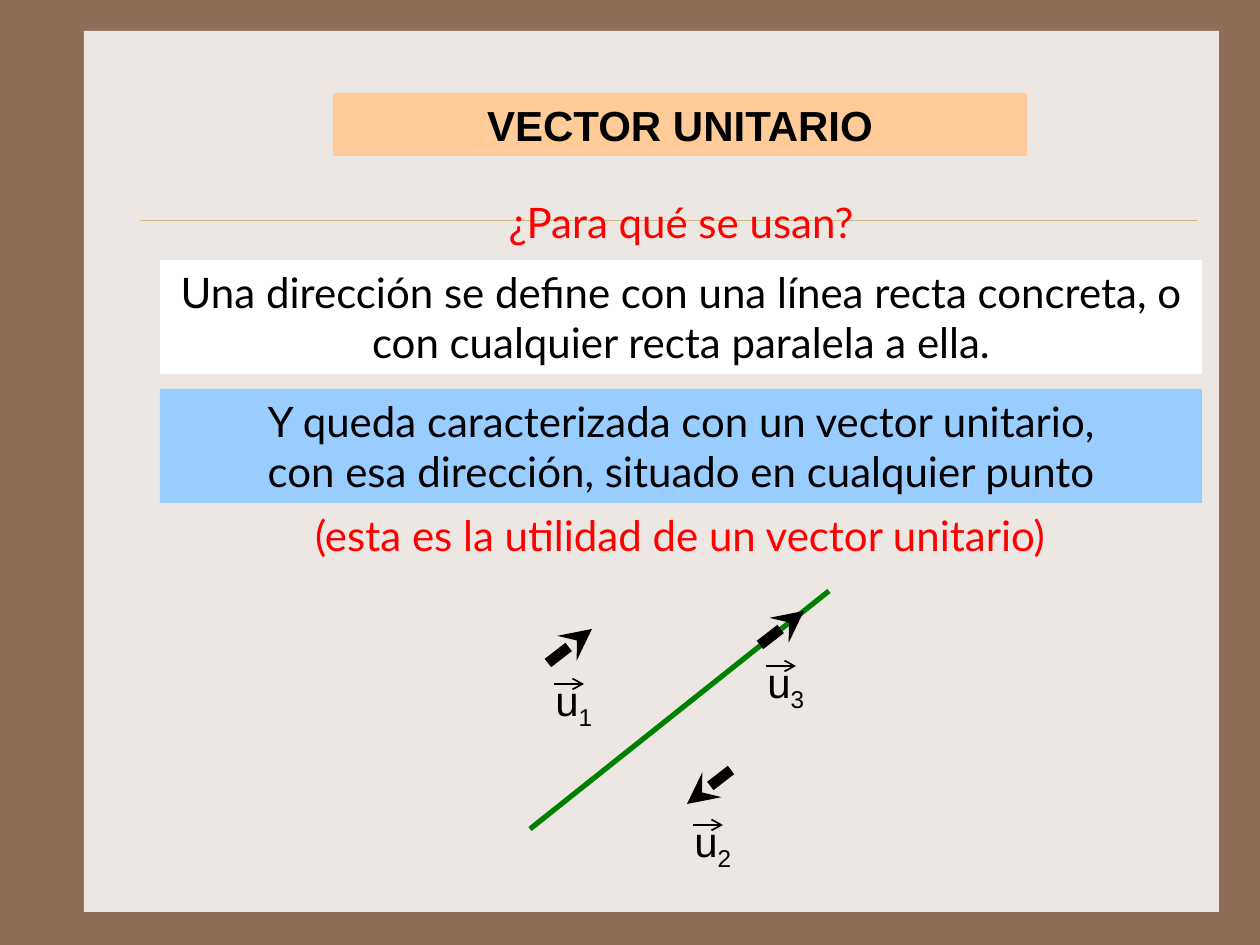
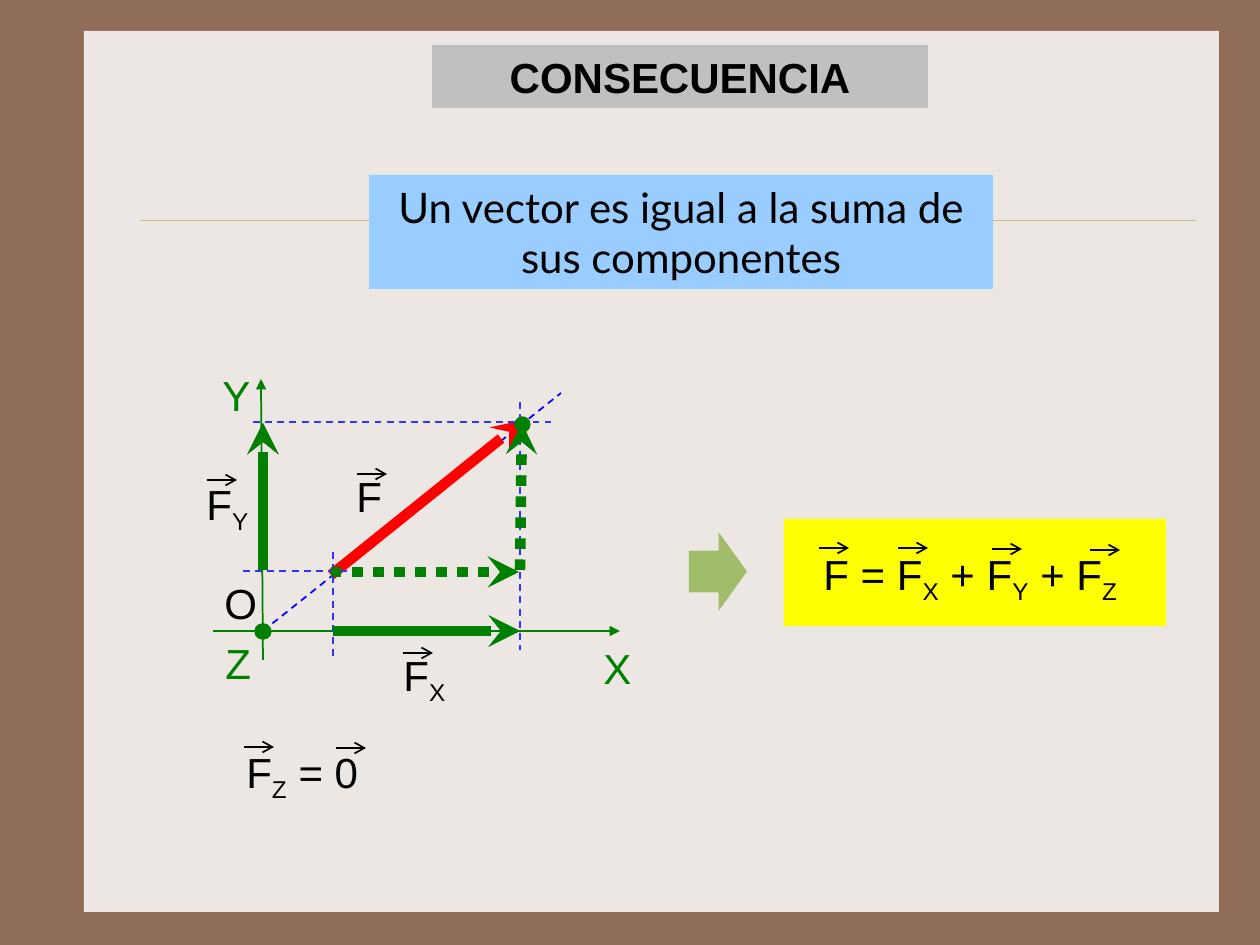
"""Two slides on unit vectors and on the components of a vector."""
from lxml.etree import SubElement
from pptx import Presentation
from pptx.dml.color import RGBColor
from pptx.enum.dml import MSO_LINE as DASH
from pptx.enum.shapes import MSO_CONNECTOR as CONNECTOR, MSO_SHAPE as SHAPE
from pptx.enum.text import PP_ALIGN as ALIGN
from pptx.oxml.ns import qn
from pptx.util import Emu, Pt

BROWN = RGBColor(0x90, 0x6D, 0x58)
CREAM = RGBColor(0xED, 0xE7, 0xE3)
SAND = RGBColor(0xCB, 0xBD, 0x83)
BLACK = RGBColor(0, 0, 0)
WHITE = RGBColor(0xFF, 0xFF, 0xFF)
RED = RGBColor(0xFF, 0, 0)
GREEN = RGBColor(0, 0x80, 0)
BLUE = RGBColor(0, 0, 0xFF)
GUIDE_BLUE = RGBColor(0x33, 0x33, 0xFF)
SKY = RGBColor(0x99, 0xCC, 0xFF)
PEACH = RGBColor(0xFF, 0xCC, 0x99)
GREY = RGBColor(0xC0, 0xC0, 0xC0)
YELLOW = RGBColor(0xFF, 0xFF, 0)
OLIVE = RGBColor(0xA1, 0xBD, 0x69)
PX = 914400 / 126
BAR = 30


def write(slide, text, box, font="Arial", color=BLACK, fill=None, centred=False, bold=False):
    label = slide.shapes.add_textbox(*[Emu(round(n * PX)) for n in box])
    if fill is not None:
        label.fill.solid()
        label.fill.fore_color.rgb = fill
    frame = label.text_frame
    frame.word_wrap = centred
    frame.text = text
    for paragraph in frame.paragraphs:
        paragraph.alignment = ALIGN.CENTER if centred else ALIGN.LEFT
        first, *others = paragraph.text.split("|")
        paragraph.text = first
        for piece in others:
            paragraph.add_run().text = piece
        for index, run in enumerate(paragraph.runs):
            run.font.name = font
            run.font.size = Pt(24)
            run.font.bold = bold
            run.font.color.rgb = color
            if index % 2:
                run._r.get_or_add_rPr().set("baseline", "-25000")


def draw(slide, start, end, color=BLACK, width=1, head=None, dash=None):
    stroke = slide.shapes.add_connector(
        CONNECTOR.STRAIGHT, *[Emu(round(n * PX)) for n in (*start, *end)])
    stroke.line.color.rgb = color
    stroke.line.width = Pt(width)
    if dash is not None:
        stroke.line.dash_style = dash
    properties = stroke._element.spPr
    if head:
        SubElement(properties.find(qn("a:ln")), qn("a:tailEnd"), type=head)
    SubElement(properties, qn("a:effectLst"))


prs = Presentation()
prs.slide_width, prs.slide_height = Emu(round(1260 * PX)), Emu(round(945 * PX))
backdrop = prs.slide_master.background.fill
backdrop.solid()
backdrop.fore_color.rgb = BROWN

unit, result = [prs.slides.add_slide(prs.slide_layouts[6]) for _ in range(2)]
for slide, title, box, fill in (
    (unit, "VECTOR UNITARIO", (333, 93, 694, 63), PEACH),
    (result, "CONSECUENCIA", (432, 45, 496, 63), GREY),
):
    page = slide.shapes.add_shape(
        SHAPE.RECTANGLE, *[Emu(round(n * PX)) for n in (84, 31, 1135, 881)])
    page.shadow.inherit = False
    page.fill.solid()
    page.fill.fore_color.rgb = CREAM
    page.line.fill.background()
    draw(slide, (140, 220), (1197, 220), SAND, 0.25)
    write(slide, title, box, fill=fill, centred=True, bold=True)

for statement, box, color, fill in (
    ("¿Para qué se usan?", (494, 190, 374, 63), RED, None),
    ("Una dirección se define con una línea recta concreta, o con cualquier recta paralela a ella.",
     (160, 260, 1042, 114), BLACK, WHITE),
    ("Y queda caracterizada con un vector unitario,\ncon esa dirección, situado en cualquier punto",
     (160, 389, 1042, 114), BLACK, SKY),
    ("(esta es la utilidad de un vector unitario)", (159, 503, 1042, 63), RED, None),
):
    write(unit, statement, box, "Lato", color, fill, centred=True)

draw(unit, (530, 829), (829, 591), GREEN, 3)
for number, x, y, reverse in ((1, 543, 668, False), (2, 682, 809, True), (3, 755, 650, False)):
    foot, tip = (x + 5, y - 5), (x + 49, y - 39)
    if reverse:
        foot, tip = tip, foot
    draw(unit, foot, tip, width=6, head="stealth")
    write(unit, f"u|{number}", (x, y, 62, 63))
    draw(unit, (x + 11, y + 16), (x + 11 + BAR, y + 16), head="arrow")

write(result, "Un vector es igual a la suma de sus componentes",
      (369, 175, 624, 114), "Lato", fill=SKY, centred=True)

for kind, box, fill in (
    (SHAPE.RECTANGLE, (784, 519, 382, 107), YELLOW),
    (SHAPE.RIGHT_ARROW, (689, 532, 58, 79), OLIVE),
):
    block = result.shapes.add_shape(kind, *[Emu(round(n * PX)) for n in box])
    block.shadow.inherit = False
    block.fill.solid()
    block.fill.fore_color.rgb = fill
    block.line.fill.background()
block.adjustments[0], block.adjustments[1] = 0.53, 0.49

draw(result, (263, 631), (561, 393), BLUE, dash=DASH.DASH)
draw(result, (331, 575), (524, 420), RED, 6, "stealth")
for axis_start, axis_end in (((263, 660), (261, 379)), ((213, 631), (620, 631))):
    draw(result, axis_start, axis_end, GREEN, head="triangle")
for guide_start, guide_end in (
    ((520, 402), (520, 650)),
    ((333, 552), (333, 660)),
    ((253, 422), (551, 422)),
    ((243, 571), (353, 571)),
):
    draw(result, guide_start, guide_end, GUIDE_BLUE, dash=DASH.DASH)

components = [((263, 570), (263, 423)), ((333, 631), (520, 631))]
projections = [((331, 572), (519, 572)), ((520, 570), (522, 423))]
for foot, tip in components:
    draw(result, foot, tip, GREEN, 6, "stealth")
for foot, tip in components + projections:
    draw(result, foot, tip, GREEN, 6, "stealth", DASH.ROUND_DOT)

for letter, x, y, color in (
    ("X", 591, 636, GREEN), ("Y", 210, 363, GREEN), ("Z", 213, 631, GREEN), ("O", 212, 571, BLACK),
):
    write(result, letter, (x, y, 50, 63), color=color)

for expression, box, bars in (
    ("F", (344, 464, 48, 63), [(357, 474)]),
    ("F|Y", (194, 472, 67, 63), [(207, 480)]),
    ("F|X", (391, 643, 67, 63), [(403, 653)]),
    ("F|Z| = 0", (234, 740, 137, 63), [(244, 747), (336, 748)]),
    ("F = F|X| + F|Y| + F|Z", (811, 542, 324, 63),
     [(819, 548), (898, 548), (992, 549), (1090, 550)]),
):
    write(result, expression, box)
    for x, y in bars:
        draw(result, (x, y), (x + BAR, y), head="arrow")

for x, y in ((255, 624), (256, 624), (515, 417)):
    point = result.shapes.add_shape(SHAPE.OVAL, *[Emu(round(n * PX)) for n in (x, y, 15, 15)])
    point.shadow.inherit = False
    point.fill.solid()
    point.fill.fore_color.rgb = GREEN
    point.line.color.rgb = GREEN
    point.line.width = Pt(0.75)

prs.save("out.pptx")
